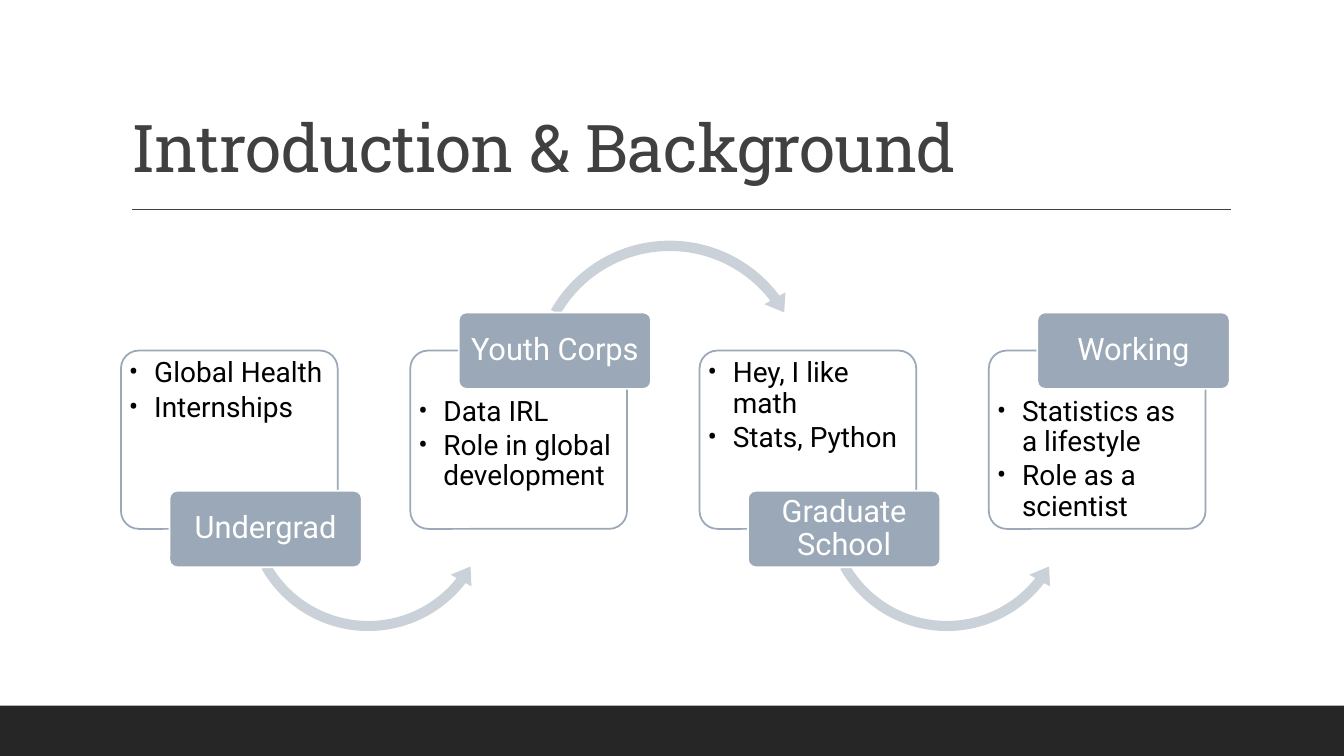
from lxml import etree
from pptx import Presentation
from pptx.dml.color import RGBColor
from pptx.enum import shapes, text
from pptx.oxml import ns
from pptx.util import Pt

# Content: label, bullets, label above the card?
TITLE = "Introduction & Background"
STAGES = [
    ("Undergrad", ["Global Health", "Internships"], False),
    ("Youth Corps", ["Data IRL", "Role in global development"], True),
    ("Graduate School", ["Hey, I like math", "Stats, Python"], False),
    ("Working", ["Statistics as a lifestyle", "Role as a scientist"], True),
]

WHITE = RGBColor(0xFF, 0xFF, 0xFF)
BLACK = RGBColor(0, 0, 0)
DARK = RGBColor(0x26, 0x26, 0x26)
GREY = RGBColor(0x40, 0x40, 0x40)
SLATE = RGBColor(0x9B, 0xA8, 0xB7)
PALE = RGBColor(0xCB, 0xD1, 0xD8)

# Layout in points
SLIDE_WIDTH, SLIDE_HEIGHT, FOOTER_HEIGHT = 960, 540, 36
CARD_LEFT, CARD_TOP, CARD_WIDTH, CARD_HEIGHT, CARD_STEP = 86.4, 250.4, 154.8, 127.4, 206.64
LABEL_OFFSET, LABEL_WIDTH, LABEL_HEIGHT = 34.6, 137.4, 54.6
LABEL_TOPS = {False: 350.6, True: 223.2}
# Arrow by label position: shape, offset from card, top, size, adjustments
ARROWS = {
    False: (shapes.MSO_SHAPE.LEFT_CIRCULAR_ARROW, 84.2, 270.7, 185,
            (0.039, 4.947, 22.703, 90.245, 0.046)),
    True: (shapes.MSO_SHAPE.CIRCULAR_ARROW, 82.8, 167, 205.2,
           (0.036, 4.43, 193.815, 125.755, 0.042)),
}


def add_shape(slide, kind, box, fill, line=None, adjustments=()):
    shape = slide.shapes.add_shape(kind, *map(Pt, box))
    shape.shadow.inherit = False
    shape.fill.solid()
    shape.fill.fore_color.rgb = fill
    if line is None:
        shape.line.fill.background()
    else:
        shape.line.color.rgb = line
        shape.line.width = Pt(1.25)
    for index, value in enumerate(adjustments):
        shape.adjustments[index] = value
    return shape


def write(shape, lines, size, color, align, anchor, margins, space_after=0, font="Roboto"):
    frame = shape.text_frame
    frame.word_wrap = True
    frame.auto_size = text.MSO_AUTO_SIZE.NONE
    frame.vertical_anchor = anchor
    frame.margin_left, frame.margin_top, frame.margin_right, frame.margin_bottom = map(Pt, margins)
    frame.text = "\n".join(lines)
    for paragraph in frame.paragraphs:
        paragraph.alignment = align
        paragraph.line_spacing = 0.9
        paragraph.space_before = Pt(0)
        paragraph.space_after = Pt(space_after)
        run_font = paragraph.runs[0].font
        run_font.name = font
        run_font.size = Pt(size)
        run_font.color.rgb = color
    return frame


def add_bullets(frame):
    for paragraph in frame.paragraphs:
        properties = paragraph._p.get_or_add_pPr()
        properties.set("marL", str(Pt(18)))
        properties.set("indent", str(Pt(-18)))
        etree.SubElement(properties, ns.qn("a:buFont")).set("typeface", "Roboto")
        etree.SubElement(properties, ns.qn("a:buChar")).set("char", "•")


def add_stage(slide, index, label, bullets, above):
    left = CARD_LEFT + index * CARD_STEP
    rounded = shapes.MSO_SHAPE.ROUNDED_RECTANGLE

    # Card
    card = add_shape(slide, rounded, (left, CARD_TOP, CARD_WIDTH, CARD_HEIGHT),
                     WHITE, SLATE, (0.1,))
    add_bullets(write(card, bullets, 20, BLACK, text.PP_ALIGN.LEFT, text.MSO_ANCHOR.TOP,
                      (2, 29.5 if above else 2, 2, 2), space_after=3))

    # Arrow to the next stage
    if index < len(STAGES) - 1:
        kind, offset, top, size, adjustments = ARROWS[above]
        add_shape(slide, kind, (left + offset, top, size, size), PALE, adjustments=adjustments)

    # Label
    tag = add_shape(slide, rounded,
                    (left + LABEL_OFFSET, LABEL_TOPS[above], LABEL_WIDTH, LABEL_HEIGHT),
                    SLATE, WHITE, (0.1,))
    write(tag, [label], 22, WHITE, text.PP_ALIGN.CENTER, text.MSO_ANCHOR.MIDDLE, (3.3, 2, 3.3, 2))


def main():
    presentation = Presentation()
    presentation.slide_width, presentation.slide_height = Pt(SLIDE_WIDTH), Pt(SLIDE_HEIGHT)
    slide = presentation.slides.add_slide(presentation.slide_layouts[5])

    # Footer band and title rule
    add_shape(slide, shapes.MSO_SHAPE.RECTANGLE,
              (0, SLIDE_HEIGHT - FOOTER_HEIGHT, SLIDE_WIDTH, FOOTER_HEIGHT), DARK)
    rule = slide.shapes.add_connector(shapes.MSO_CONNECTOR.STRAIGHT,
                                      Pt(94.3), Pt(149.5), Pt(879), Pt(149.5))
    rule.line.color.rgb = GREY
    rule.line.width = Pt(1)
    etree.SubElement(rule._element.spPr, ns.qn("a:effectLst"))

    # Title
    title = slide.shapes.title
    title.left, title.top, title.width, title.height = map(Pt, (86.4, 22.6, 792, 114.2))
    frame = write(title, [TITLE], 47, GREY, text.PP_ALIGN.LEFT, text.MSO_ANCHOR.BOTTOM,
                  (7.2, 3.6, 7.2, 3.6), font="Roboto Slab")
    frame.paragraphs[0].runs[0].font._element.set("spc", "-50")

    for index, stage in enumerate(STAGES):
        add_stage(slide, index, *stage)
    presentation.save("out.pptx")


if __name__ == "__main__":
    main()
